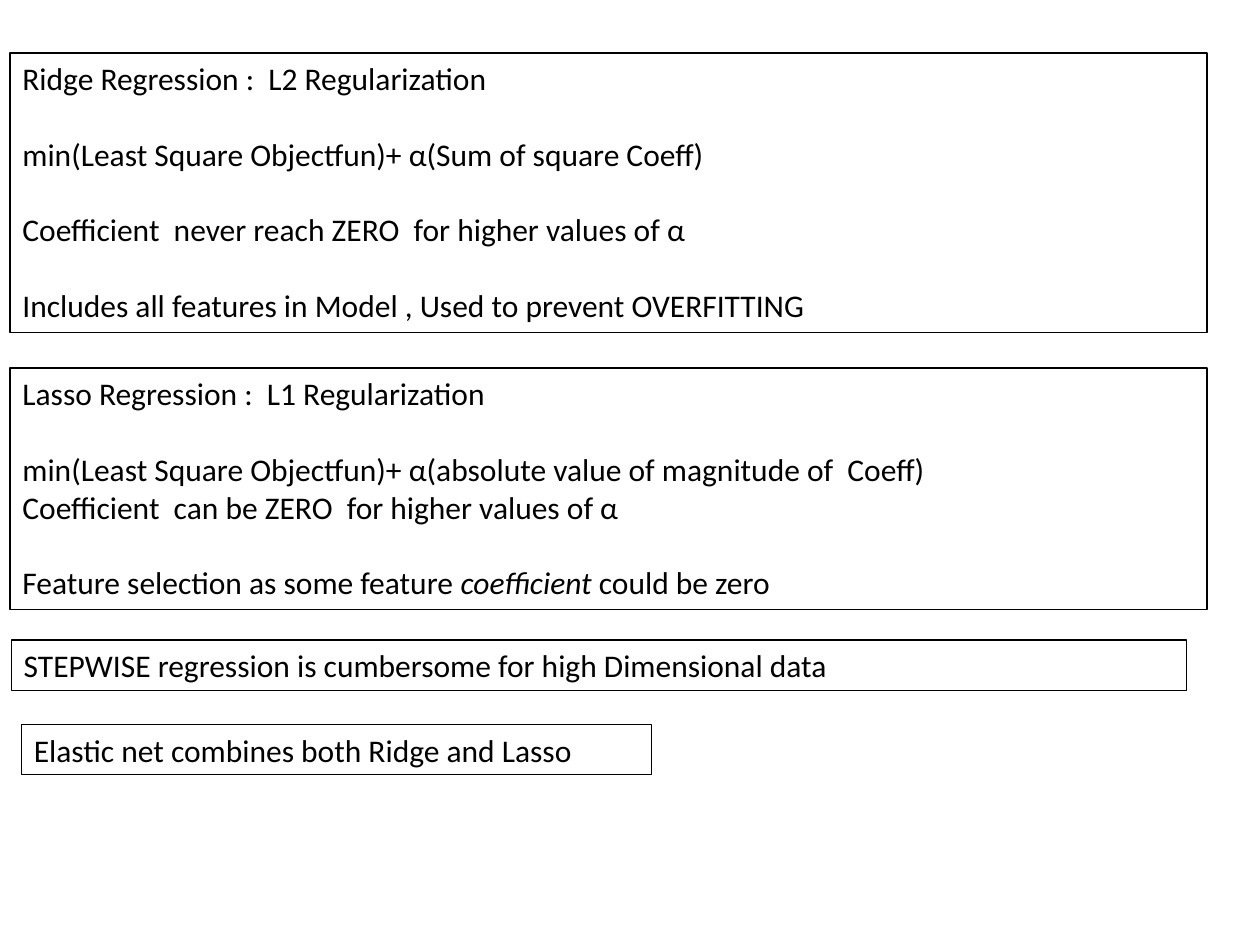
from dataclasses import dataclass
from pptx import Presentation
from pptx.dml.color import RGBColor
from pptx.enum.text import MSO_AUTO_SIZE
from pptx.util import Inches, Pt


@dataclass
class Theme:
    ink: RGBColor = RGBColor(0, 0, 0)
    paper: RGBColor = RGBColor(255, 255, 255)
    font: str = "Calibri"
    size: Pt = Pt(18)
    border: Pt = Pt(0.75)
    gap: Pt = Pt(21.6)


theme = Theme()
font_format = {"name": theme.font, "size": theme.size}
frame_format = {"word_wrap": True, "auto_size": MSO_AUTO_SIZE.SHAPE_TO_FIT_TEXT}

notes = [
    ((0.08, 0.42, 9.5, 2.22), [
        (False, ["Ridge Regression :  L2 Regularization"]),
        (True, ["min(Least Square Objectfun)+ α(Sum of square Coeff)"]),
        (True, ["Coefficient  never reach ZERO  for higher values of α"]),
        (True, ["Includes all features in Model , Used to prevent OVERFITTING"]),
    ]),
    ((0.08, 2.92, 9.5, 1.92), [
        (False, ["Lasso Regression :  L1 Regularization"]),
        (True, ["min(Least Square Objectfun)+ α(absolute value of magnitude of  Coeff)"]),
        (False, ["Coefficient  can be ZERO  for higher values of α"]),
        (True, ["Feature selection as some feature ", "coefficient", " could be zero"]),
    ]),
    ((0.09, 5.08, 9.33, 0.4), [
        (False, ["STEPWISE regression is cumbersome for high Dimensional data"]),
    ]),
    ((0.17, 5.75, 5, 0.4), [
        (False, ["Elastic net combines both Ridge and Lasso"]),
    ]),
]

deck = Presentation()
deck.slide_width, deck.slide_height = Inches(10), Inches(7.5)
page = deck.slides.add_slide(deck.slide_layouts[6])
page.background.fill.solid()
page.background.fill.fore_color.rgb = theme.paper

for place, lines in notes:
    box = page.shapes.add_textbox(*map(Inches, place))
    box.line.color.rgb = theme.ink
    box.line.width = theme.border
    frame = box.text_frame
    for key, value in frame_format.items():
        setattr(frame, key, value)
    for number, (spaced, pieces) in enumerate(lines):
        para = frame.add_paragraph() if number else frame.paragraphs[0]
        para.space_before = theme.gap if spaced else Pt(0)
        for order, piece in enumerate(pieces):
            span = para.add_run()
            span.text = piece
            span.font.color.rgb = theme.ink
            span.font.italic = order == 1
            for key, value in font_format.items():
                setattr(span.font, key, value)

deck.save("out.pptx")
